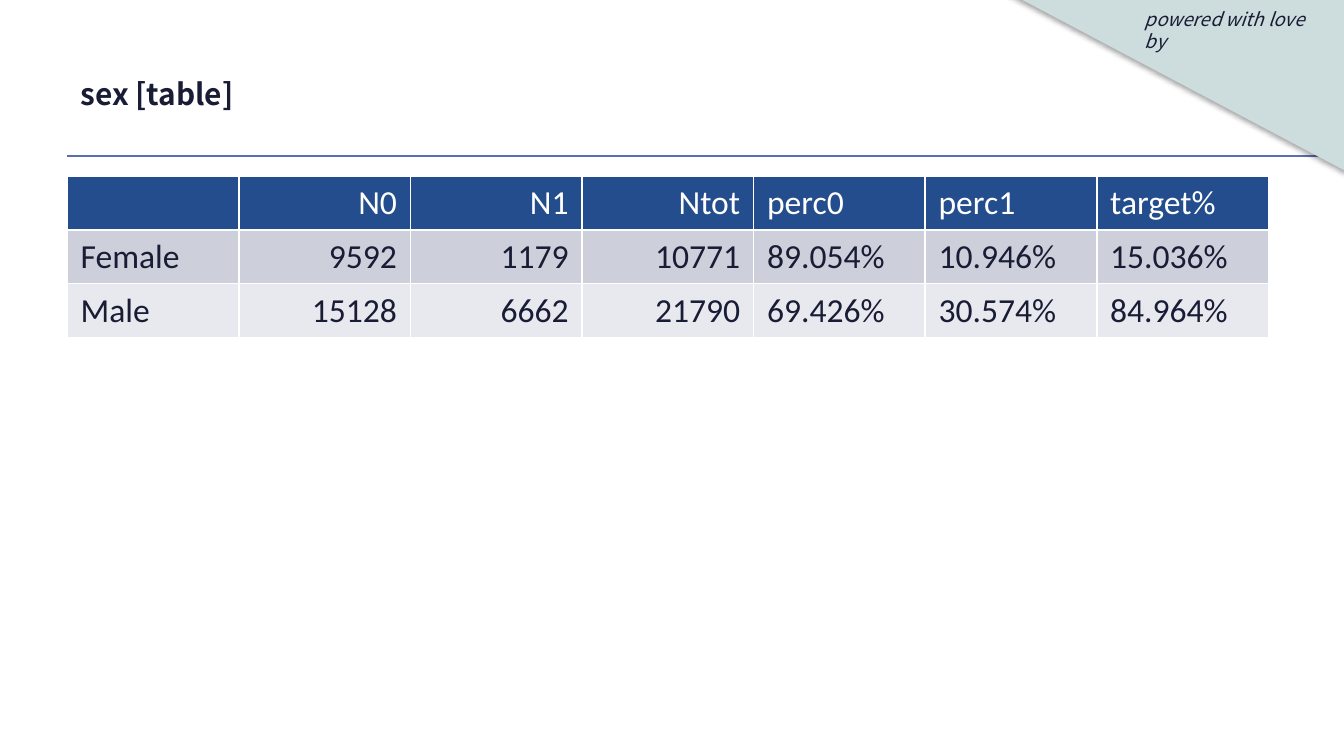
import pptx
import pptx.util
import pptx.dml.color
import pptx.enum.shapes
import pptx.enum.text
import pptx.oxml
import pptx.oxml.ns

Inches = pptx.util.Inches
Pt = pptx.util.Pt
RGBColor = pptx.dml.color.RGBColor
ALIGN = pptx.enum.text.PP_ALIGN
ANCHOR = pptx.enum.text.MSO_ANCHOR

INK = RGBColor(0x18, 0x1C, 0x34)
WHITE = RGBColor(0xFF, 0xFF, 0xFF)
NAVY = RGBColor(0x23, 0x4D, 0x8C)
BANDS = [RGBColor(0xCD, 0xD0, 0xDA), RGBColor(0xE8, 0xE9, 0xEE)]
RULE = RGBColor(0x5A, 0x6F, 0xAE)
MINT = RGBColor(0xCD, 0xDD, 0xDE)
SANS = "Noto Sans CJK TC"
BODY = "Calibri"

HEAD = ["", "N0", "N1", "Ntot", "perc0", "perc1", "target%"]
ROWS = [
    ["Female", "9592", "1179", "10771", "89.054%", "10.946%", "15.036%"],
    ["Male", "15128", "6662", "21790", "69.426%", "30.574%", "84.964%"],
]
COUNTS = (1, 2, 3)

SHADOW = (
    '<a:effectLst %s><a:outerShdw blurRad="39370" dist="22860" dir="5400000" '
    'rotWithShape="0"><a:srgbClr val="000000"><a:alpha val="35000"/></a:srgbClr>'
    "</a:outerShdw></a:effectLst>" % pptx.oxml.ns.nsdecls("a")
)
FLAT = "<a:effectLst %s/>" % pptx.oxml.ns.nsdecls("a")


def style(par, name, size, color, bold=False, slant=False):
    font = par.font
    font.name, font.size = name, Pt(size)
    font.bold, font.italic = bold, slant
    font.color.rgb = color


def add_effect(shape, xml):
    shape._element.spPr.append(pptx.oxml.parse_xml(xml))


def add_title(slide, left, top, width, height):
    title = slide.shapes.title
    title.left, title.top = Inches(left), Inches(top)
    title.width, title.height = Inches(width), Inches(height)
    frame = title.text_frame
    frame.text = "sex [table]"
    frame.vertical_anchor = ANCHOR.MIDDLE
    par = frame.paragraphs[0]
    par.alignment = ALIGN.LEFT
    style(par, SANS, 16, INK, bold=True)


def add_rule(slide, left, top, width):
    rule = slide.shapes.add_connector(
        pptx.enum.shapes.MSO_CONNECTOR.STRAIGHT,
        Inches(left), Inches(top), Inches(left + width), Inches(top))
    rule.line.color.rgb = RULE
    rule.line.width = Pt(0.75)
    add_effect(rule, FLAT)


def add_corner(slide, left, top, width, height):
    flap = slide.shapes.add_shape(
        pptx.enum.shapes.MSO_SHAPE.RIGHT_TRIANGLE,
        Inches(left), Inches(top), Inches(width), Inches(height))
    flap.rotation = 180
    flap.fill.solid()
    flap.fill.fore_color.rgb = MINT
    flap.line.fill.background()
    add_effect(flap, SHADOW)

    note = slide.shapes.add_textbox(
        Inches(left + 1.02), Inches(top + 0.12), Inches(1.57), Inches(0.27))
    frame = note.text_frame
    frame.word_wrap = True
    frame.margin_right = Inches(0.15)
    frame.text = "powered with love by"
    style(frame.paragraphs[0], SANS, 10, INK, slant=True)


def add_grid(slide, left, top, width, height):
    lines = [HEAD] + ROWS
    frame = slide.shapes.add_table(
        len(lines), len(HEAD),
        Inches(left), Inches(top), Inches(width), Inches(height))
    grid = frame.table
    for col in grid.columns:
        col.width = Inches(width - 0.06) // len(HEAD)
    for row in grid.rows:
        row.height = 0
    frame.width, frame.height = Inches(width), Inches(height)
    for r, line in enumerate(lines):
        for c, text in enumerate(line):
            cell = grid.cell(r, c)
            cell.text = text
            cell.fill.solid()
            cell.fill.fore_color.rgb = BANDS[(r - 1) % 2] if r else NAVY
            par = cell.text_frame.paragraphs[0]
            par.alignment = ALIGN.RIGHT if c in COUNTS else ALIGN.LEFT
            style(par, BODY, 18, INK if r else WHITE)


def main():
    deck = pptx.Presentation()
    deck.slide_width = Inches(10)
    deck.slide_height = deck.slide_width * 9 // 16
    slide = deck.slides.add_slide(deck.slide_layouts[5])
    add_rule(slide, 0.5, 1.16, 9.5)
    add_corner(slide, 7.4, -0.11, 2.72, 1.44)
    add_title(slide, 0.5, 0.23, 7.28, 0.94)
    add_grid(slide, 0.5, 1.31, 9, 3.71)
    deck.save("out.pptx")


if __name__ == "__main__":
    main()
